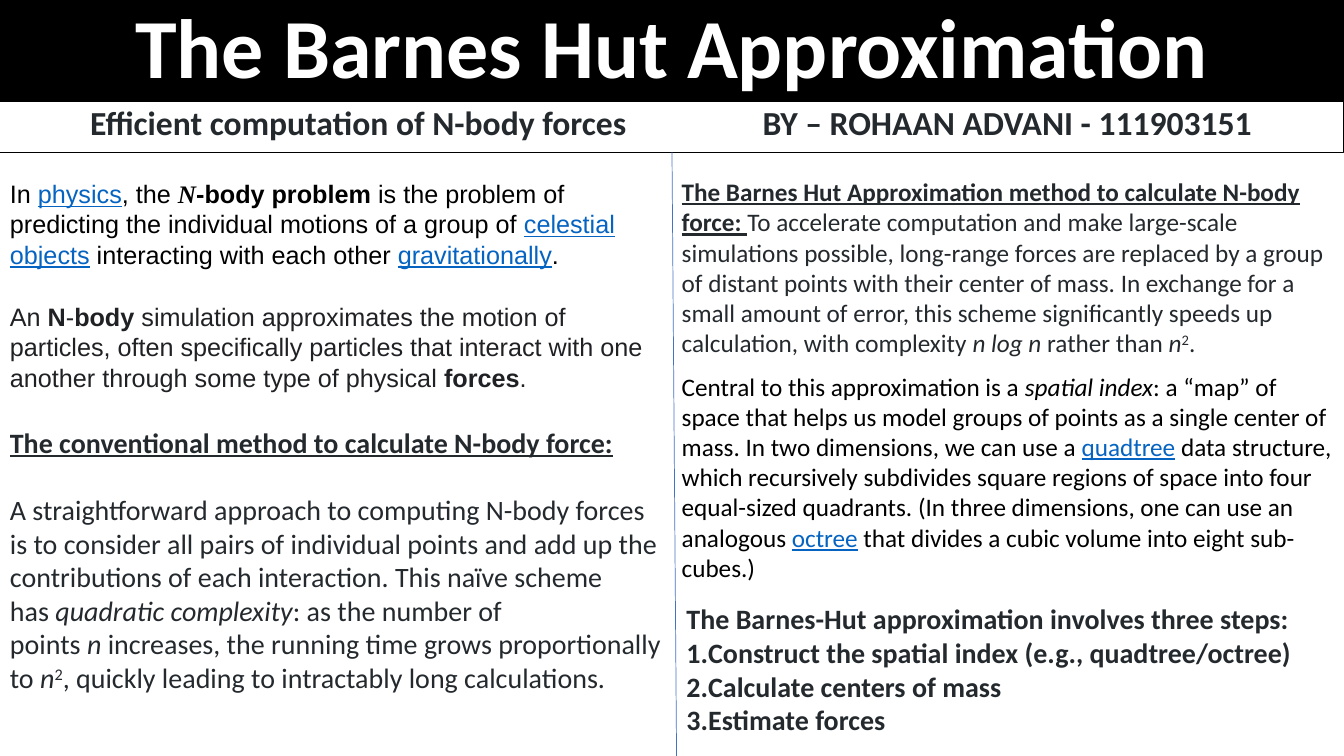
from lxml.etree import SubElement
from pptx import Presentation
from pptx.dml.color import RGBColor
from pptx.enum.shapes import MSO_CONNECTOR, MSO_SHAPE
from pptx.enum.text import MSO_ANCHOR, PP_ALIGN
from pptx.oxml.ns import qn
from pptx.util import Cm, Pt

BLACK = RGBColor(0x00, 0x00, 0x00)
WHITE = RGBColor(0xFF, 0xFF, 0xFF)
SLATE = RGBColor(0x24, 0x29, 0x2E)
GREY = RGBColor(0x20, 0x21, 0x24)
LINK = RGBColor(0x05, 0x63, 0xC1)
BLUE = RGBColor(0x44, 0x72, 0xC4)

WIDE, HIGH = Cm(33.87), Cm(19.05)
HALF = Cm(16.93)

# Each run is (text, marks): b bold, i italic, u underline, l link look,
# s superscript, t Times New Roman. A tilde stands for a no-break space.
BODY = [
    ("In~", ""), ("physics", "l"), (", the~", ""), ("N", "bit"),
    ("-body problem", "b"),
    ("~is the problem of predicting the individual motions of a group of~", ""),
    ("celestial objects", "l"), ("~interacting with each other~", ""),
    ("gravitationally", "l"), (".", ""),
]
MOTION = [
    ("An~", ""), ("N", "b"), ("-", ""), ("body", "b"),
    ("~simulation approximates the motion of particles, often specifically "
     "particles that interact with one another through some type of "
     "physical~", ""),
    ("forces", "b"), (".", ""),
]
USUAL = [("The conventional method to calculate N-body force:", "bu")]
PAIRS = [
    ("A straightforward approach to computing N-body forces is to consider "
     "all pairs of individual points and add up the contributions of each "
     "interaction. This naïve scheme has~", ""),
    ("quadratic complexity", "i"), (": as the number of points~", ""),
    ("n", "i"), ("~increases, the running time grows proportionally to~", ""),
    ("n", "i"), ("2", "s"),
    (", quickly leading to intractably long calculations.", ""),
]
METHOD = [
    ("The Barnes Hut Approximation method to calculate N-body force: ", "bu"),
    ("To accelerate computation and make large-scale simulations possible, "
     "long-range forces are replaced by a group of distant points with their "
     "center of mass. In exchange for a small amount of error, this scheme "
     "significantly speeds up calculation, with complexity~", ""),
    ("n log n", "i"), ("~rather than~", ""), ("n", "i"), ("2", "s"), (".", ""),
]
INDEX = [
    ("Central to this approximation is a~", ""), ("spatial index", "i"),
    (": a “map” of space that helps us model groups of points as a single "
     "center of mass. In two dimensions, we can use a~", ""),
    ("quadtree", "l"),
    ("~data structure, which recursively subdivides square regions of space "
     "into four equal-sized quadrants. (In three dimensions, one can use an "
     "analogous~", ""),
    ("octree", "l"),
    ("~that divides a cubic volume into eight sub-cubes.)", ""),
]
LEAD = [("The Barnes-Hut approximation involves three steps:", "b")]
STEPS = [
    "Construct the spatial index (e.g., quadtree/octree)",
    "Calculate centers of mass",
    "Estimate forces",
]


def write(para, text, marks="", size=18, font="Calibri", color=SLATE):
    run = para.add_run()
    run.text = text.replace("~", chr(160))
    face = run.font
    face.size = Pt(size)
    face.name = "Times New Roman" if "t" in marks else font
    face.color.rgb = LINK if "l" in marks else color
    face.bold = "b" in marks
    face.italic = "i" in marks
    face.underline = "u" in marks or "l" in marks
    if "s" in marks:
        run._r.get_or_add_rPr().set("baseline", "30000")


def fill(para, runs, **form):
    for text, marks in runs:
        write(para, text, marks, **form)


def box(slide, left, top, width, height):
    frame = slide.shapes.add_textbox(left, top, width, height).text_frame
    frame.word_wrap = True
    return frame


def bar(slide, top, height, color, edge=None):
    rect = slide.shapes.add_shape(MSO_SHAPE.RECTANGLE, 0, top, WIDE, height)
    rect.shadow.inherit = False
    rect.fill.solid()
    rect.fill.fore_color.rgb = color
    if edge is None:
        rect.line.fill.background()
    else:
        rect.line.color.rgb = edge
        rect.line.width = Pt(0.75)
    rect.text_frame.word_wrap = True
    para = rect.text_frame.paragraphs[0]
    para.line_spacing = 0.9
    return rect, para


def tab(para, stop):
    stops = SubElement(para._p.get_or_add_pPr(), qn("a:tabLst"))
    SubElement(stops, qn("a:tab"), pos=str(stop), algn="l")


def number(para):
    props = para._p.get_or_add_pPr()
    props.set("marL", "0")
    props.set("indent", "0")
    SubElement(props, qn("a:buFont"), typeface="+mj-lt")
    SubElement(props, qn("a:buAutoNum"), type="arabicPeriod")


def split(slide, head):
    line = slide.shapes.add_connector(
        MSO_CONNECTOR.STRAIGHT, HALF, Cm(3.84), Cm(17.05), HIGH)
    line.begin_connect(head, 2)
    line.line.color.rgb = BLUE
    line.line.width = Pt(0.5)
    SubElement(line._element.spPr, qn("a:effectLst"))


def main():
    deck = Presentation()
    deck.slide_width, deck.slide_height = WIDE, HIGH
    slide = deck.slides.add_slide(deck.slide_layouts[6])

    # Title bar
    rect, para = bar(slide, 0, Cm(2.57), BLACK)
    rect.text_frame.vertical_anchor = MSO_ANCHOR.BOTTOM
    para.alignment = PP_ALIGN.CENTER
    write(para, "The Barnes Hut Approximation", "b", size=60, color=WHITE)

    # Subtitle and author, set apart by a tab stop
    head, para = bar(slide, Cm(2.57), Cm(1.27), WHITE, edge=BLACK)
    head.text_frame.vertical_anchor = MSO_ANCHOR.TOP
    head.text_frame.margin_left = Cm(2.27)
    para.alignment = PP_ALIGN.LEFT
    tab(para, Cm(16.95))
    write(para, "Efficient computation of N-body forces\t"
          "BY – ROHAAN ADVANI - 111903151", "b", size=24)

    # Left column
    intro = box(slide, 0, Cm(4.37), HALF, Cm(2.57))
    fill(intro.paragraphs[0], BODY, font="Arial", color=BLACK)
    motion = box(slide, 0, Cm(7.47), HALF, Cm(2.57))
    fill(motion.paragraphs[0], MOTION, font="Arial", color=GREY)
    usual = box(slide, 0, Cm(10.59), Cm(17.04), Cm(7.09))
    fill(usual.paragraphs[0], USUAL, size=20)
    para = usual.add_paragraph()
    para.space_before = Pt(24)
    fill(para, PAIRS, size=20)

    # Column divider
    split(slide, head)

    # Right column
    method = box(slide, HALF, Cm(4.32), HALF, Cm(4.88))
    fill(method.paragraphs[0], METHOD)
    index = box(slide, HALF, Cm(9.22), HALF, Cm(5.64))
    fill(index.paragraphs[0], INDEX, color=BLACK)
    steps = box(slide, Cm(17.05), Cm(15.04), Cm(16.82), Cm(3.68))
    fill(steps.paragraphs[0], LEAD, size=20)
    for step in STEPS:
        para = steps.add_paragraph()
        number(para)
        write(para, step, "b", size=20)

    deck.save("out.pptx")


if __name__ == "__main__":
    main()
